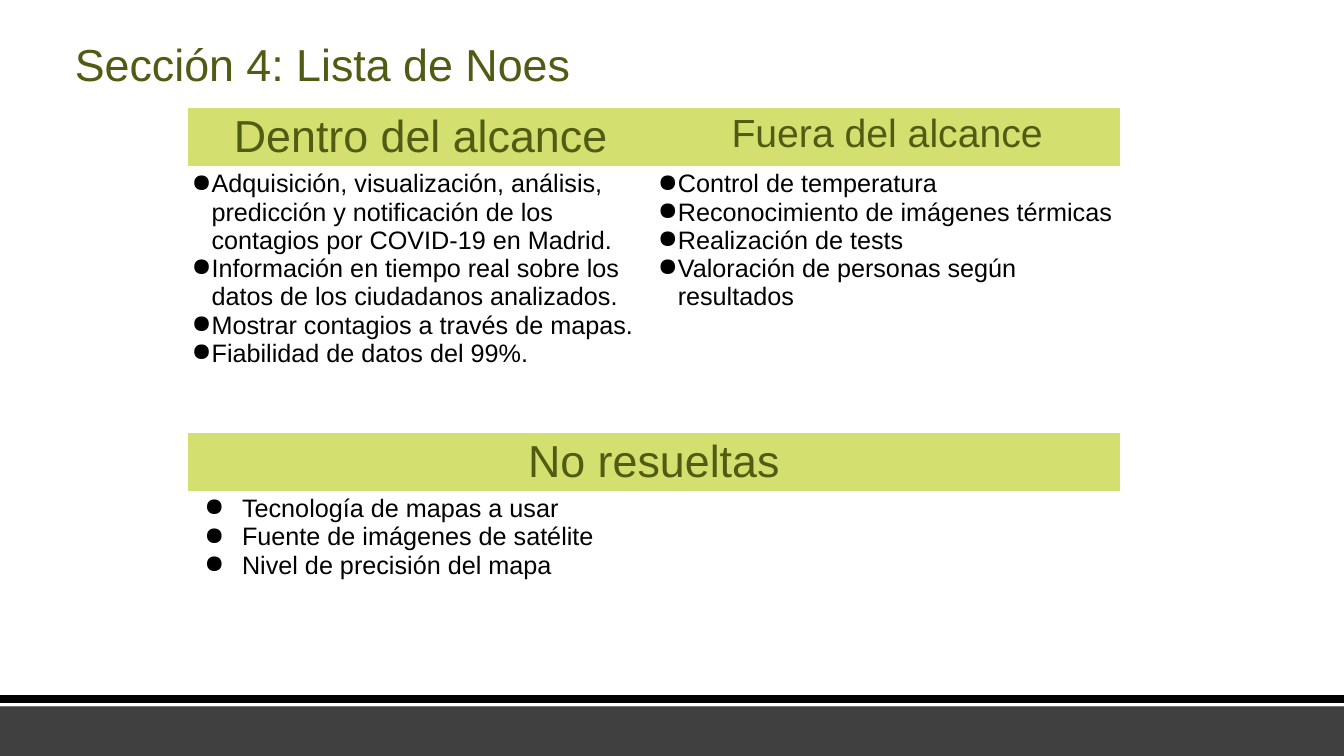
"""Build the slide on scope: what is in, what is out and what is unresolved."""
from lxml import etree
from pptx import Presentation
from pptx.dml.color import RGBColor
from pptx.enum.shapes import MSO_SHAPE
from pptx.enum.text import MSO_ANCHOR, MSO_AUTO_SIZE, PP_ALIGN
from pptx.oxml.ns import qn
from pptx.util import Cm, Pt

RECTANGLE = MSO_SHAPE.RECTANGLE
TOP = MSO_ANCHOR.TOP
LEFT, CENTER = PP_ALIGN.LEFT, PP_ALIGN.CENTER
NO_RESIZE = MSO_AUTO_SIZE.NONE
PLAIN_TABLE = "{2D5ABB26-0587-4C30-8999-92F81FD0307C}"

THEME = {
    "font": "Arial",
    "olive": "525B13", "lime": "D3E06F", "black": "000000",
    "gray": "404040", "white": "FFFFFF",
    "heading": 32, "subheading": 28, "body": 18,
}


def write(para, text, size, color, align=LEFT):
    """Put one formatted span of text in a paragraph."""
    para.alignment = align
    span = para.add_run()
    span.text = text
    formats = {"name": THEME["font"], "size": Pt(THEME[size]), "bold": False}
    for name, value in formats.items():
        setattr(span.font, name, value)
    span.font.color.rgb = RGBColor.from_string(THEME[color])


def add_bullet(para, indent, hanging):
    """Give a paragraph a round black bullet and a hanging indent."""
    properties = para._p.get_or_add_pPr()
    properties.set("marL", str(Cm(indent)))
    properties.set("indent", str(-Cm(hanging)))
    color = etree.SubElement(properties, qn("a:buClr"))
    etree.SubElement(color, qn("a:srgbClr"), val=THEME["black"])
    etree.SubElement(properties, qn("a:buChar"), char="●")


deck = Presentation()
deck.slide_width, deck.slide_height = Cm(33.87), Cm(19.05)
page = deck.slides.add_slide(deck.slide_layouts[5])

footer_bands = [("gray", 17.78, 1.27), ("black", 17.52, 0.28), ("white", 17.72, 0.08)]
for color, top, height in footer_bands:
    band = page.shapes.add_shape(RECTANGLE, 0, Cm(top), deck.slide_width, Cm(height))
    band.shadow.inherit = False
    band.fill.solid()
    band.fill.fore_color.rgb = RGBColor.from_string(THEME[color])
    band.line.fill.background()

title = page.shapes.title
title_place = {"left": Cm(1.63), "top": Cm(0.94), "width": Cm(25.4), "height": Cm(2.97)}
for name, value in title_place.items():
    setattr(title, name, value)
title_format = {"vertical_anchor": TOP, "word_wrap": True, "auto_size": NO_RESIZE}
for name, value in title_format.items():
    setattr(title.text_frame, name, value)
title_para = title.text_frame.paragraphs[0]
title_para.line_spacing = 0.9
write(title_para, "Sección 4: Lista de Noes", "heading", "olive")

in_scope = [
    "Adquisición, visualización, análisis, predicción y notificación de los "
    "contagios por COVID‐19 en Madrid.",
    "Información en tiempo real sobre los datos de los ciudadanos analizados.",
    "Mostrar contagios a través de mapas.",
    "Fiabilidad de datos del 99%.",
]
out_of_scope = [
    "Control de temperatura",
    "Reconocimiento de imágenes térmicas",
    "Realización de tests",
    "Valoración de personas según resultados",
]
unresolved = [
    "Tecnología de mapas a usar",
    "Fuente de imágenes de satélite",
    "Nivel de precisión del mapa",
]
tables = [
    {"top": 2.72, "rows": [1.0, 3.5] + [0.6] * 5, "indent": 0.5, "hanging": 0.57,
     "columns": [("Dentro del alcance", "heading", in_scope),
                 ("Fuera del alcance", "subheading", out_of_scope)]},
    {"top": 10.9, "rows": [1.27, 2.06] + [0.79] * 3, "indent": 1.27, "hanging": 0.95,
     "columns": [("No resueltas", "heading", unresolved)]},
]
cell_margins = {"margin_left": Cm(0.1), "margin_right": Cm(0.1),
                "margin_top": Cm(0.1), "margin_bottom": Cm(0.1)}

for content in tables:
    heights, columns = content["rows"], content["columns"]
    frame = page.shapes.add_table(len(heights), len(columns), Cm(4.73), Cm(content["top"]),
                                  Cm(23.5), Cm(sum(heights)))
    table = frame.table
    table.first_row = table.horz_banding = False
    table._tbl.tblPr.find(qn("a:tableStyleId")).text = PLAIN_TABLE
    for row, height in zip(table.rows, heights):
        row.height = Cm(height)
    for cell in table.iter_cells():
        cell.fill.background()
        for name, value in cell_margins.items():
            setattr(cell, name, value)
    for column, (heading, size, items) in enumerate(columns):
        header, body = table.cell(0, column), table.cell(1, column)
        header.fill.solid()
        header.fill.fore_color.rgb = RGBColor.from_string(THEME["lime"])
        write(header.text_frame.paragraphs[0], heading, size, "olive", CENTER)
        for number, item in enumerate(items):
            frame_text = body.text_frame
            para = frame_text.add_paragraph() if number else frame_text.paragraphs[0]
            write(para, item, "body", "black")
            add_bullet(para, content["indent"], content["hanging"])

deck.save("out.pptx")
